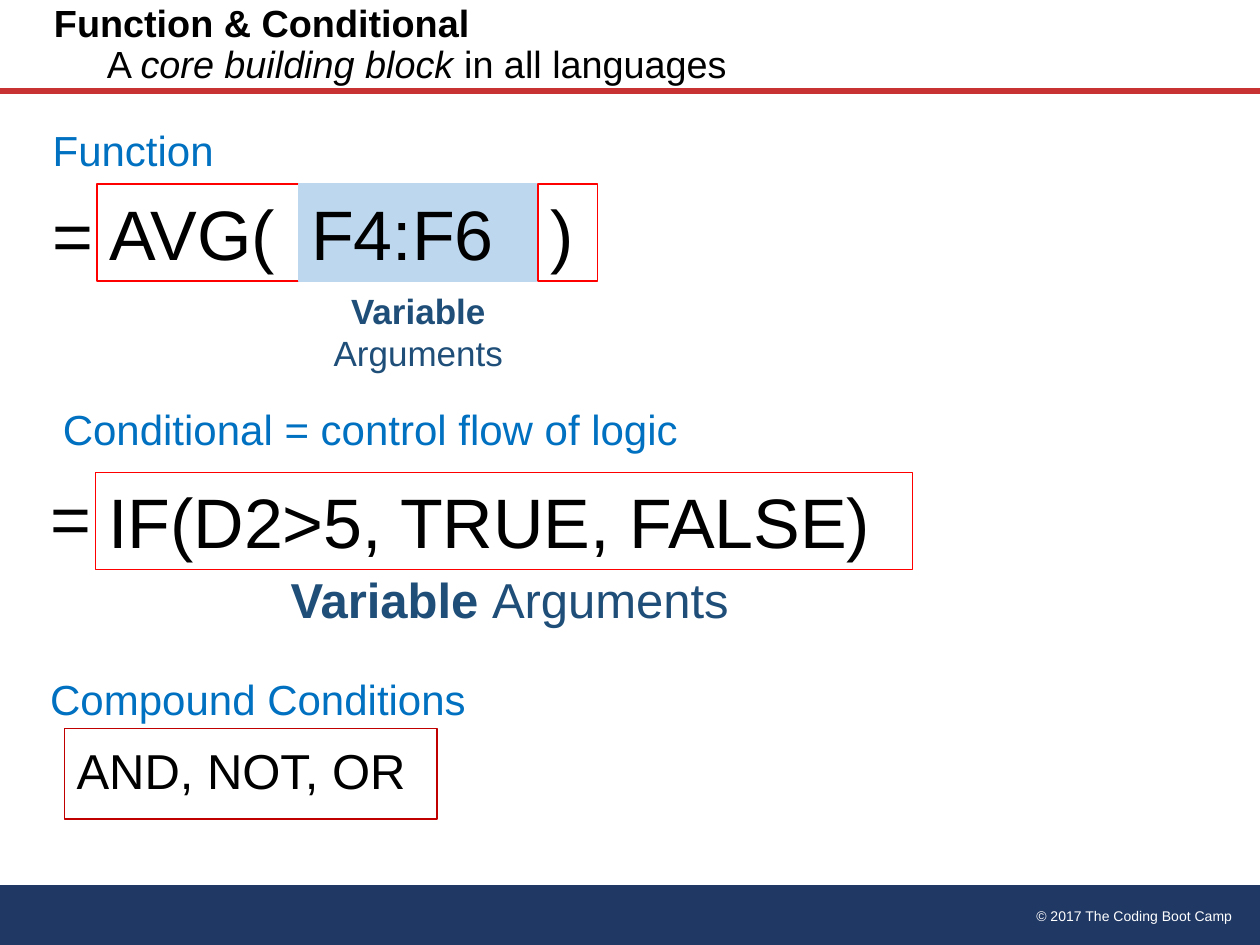
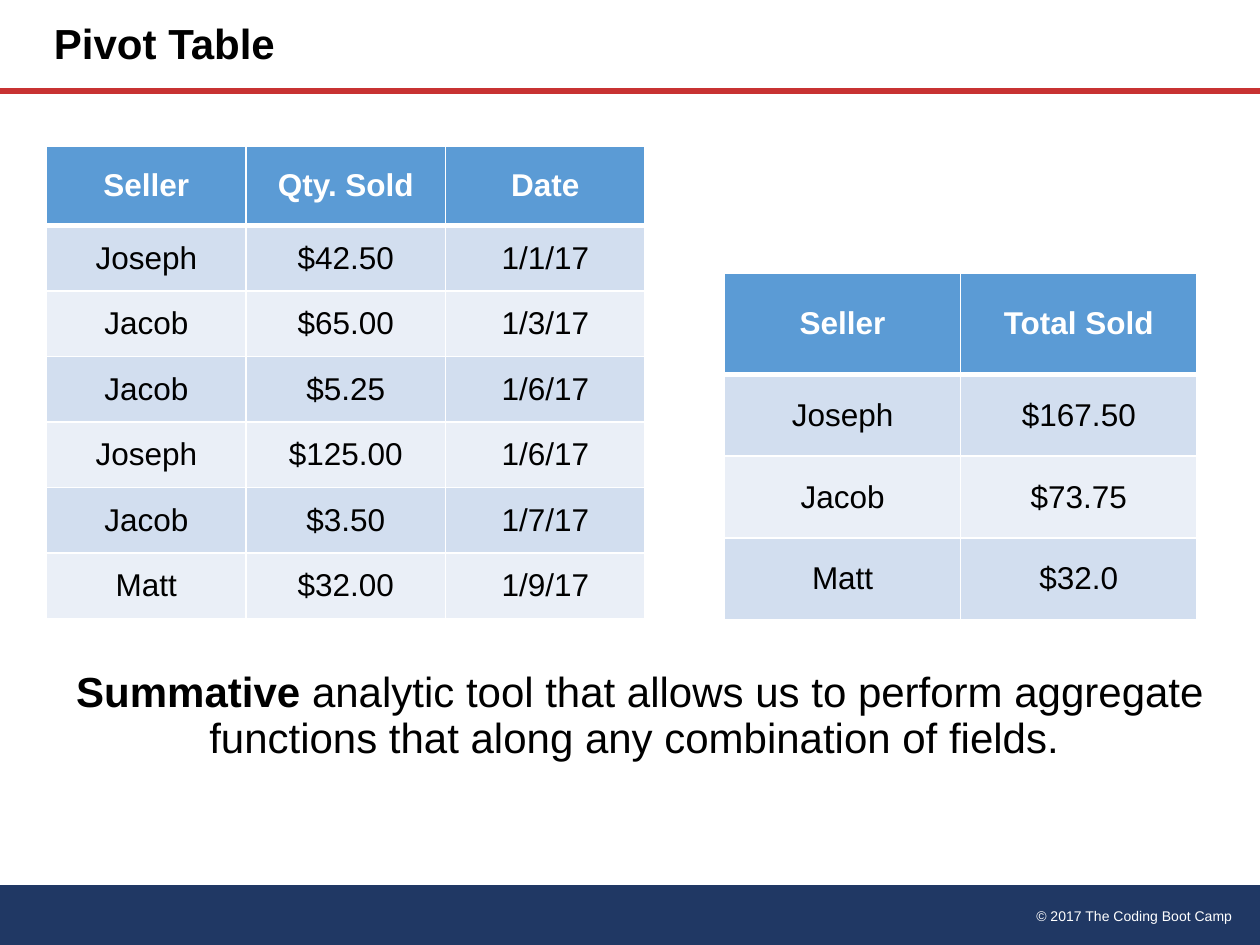
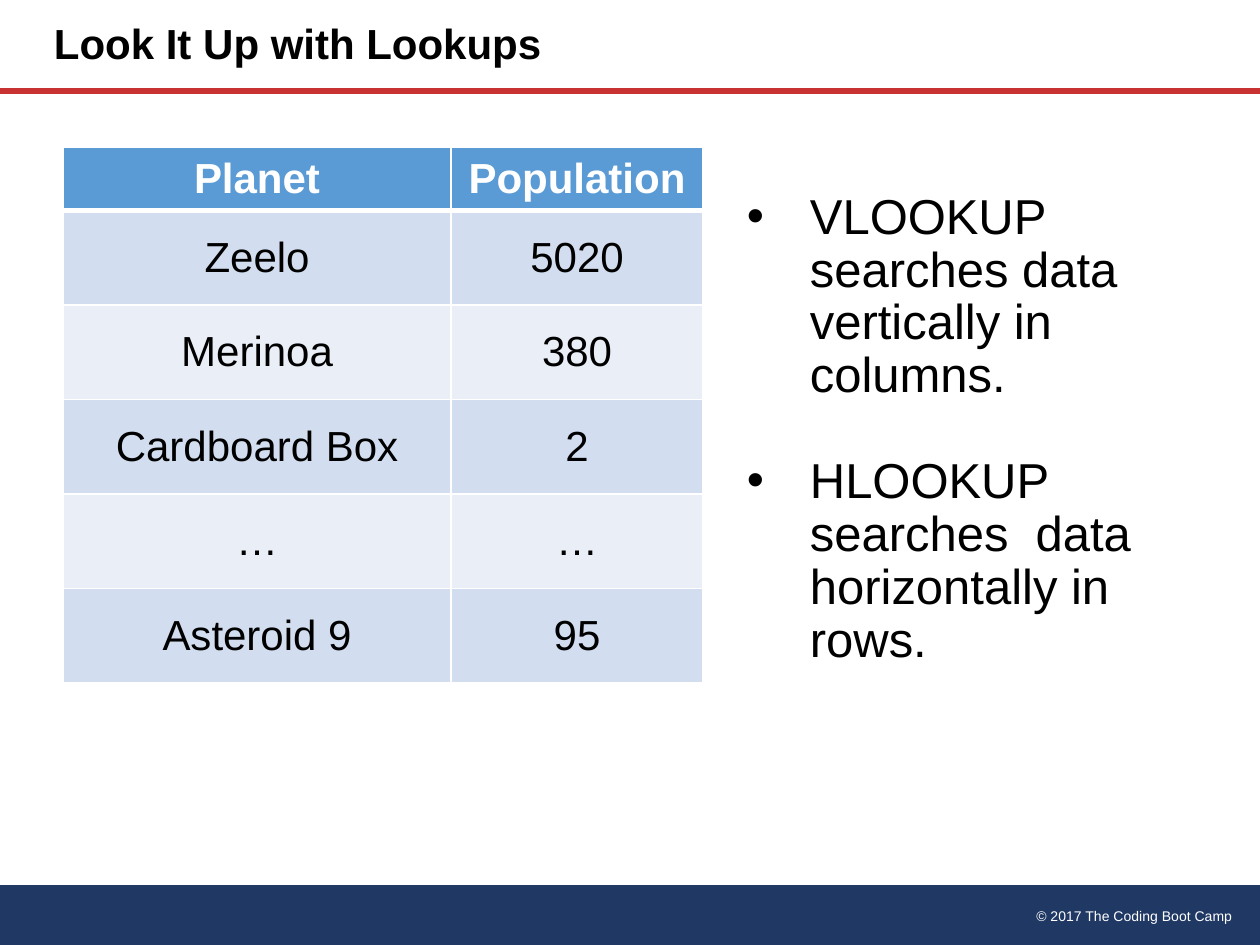
from lxml import etree
from pptx import Presentation
from pptx.dml.color import RGBColor
from pptx.enum.shapes import MSO_CONNECTOR, MSO_SHAPE
from pptx.enum.text import MSO_ANCHOR, PP_ALIGN
from pptx.oxml import parse_xml
from pptx.oxml.ns import nsdecls, qn
from pptx.util import Inches, Pt

FONT = "Arial"
BLACK = RGBColor(0x00, 0x00, 0x00)
WHITE = RGBColor(0xFF, 0xFF, 0xFF)
NAVY = RGBColor(0x20, 0x38, 0x64)
RULE_RED = RGBColor(0xC8, 0x32, 0x32)
BOX_RED = RGBColor(0xFF, 0x00, 0x00)
DARK_RED = RGBColor(0xC0, 0x00, 0x00)
HEADING_BLUE = RGBColor(0x00, 0x70, 0xC0)
LABEL_BLUE = RGBColor(0x1F, 0x4E, 0x79)
PALE_BLUE = RGBColor(0xBD, 0xD7, 0xEE)
HEADER_BLUE = RGBColor(0x5B, 0x9B, 0xD5)
BAND_COLORS = (RGBColor(0xD2, 0xDE, 0xEF), RGBColor(0xEA, 0xEF, 0xF7))

SLIDE_WIDTH, SLIDE_HEIGHT = 10, 7.5
TITLE_HEIGHT = 0.72
FOOTER_TOP = 7.02
FORMULA_HEIGHT = 0.77
HEADING_HEIGHT = 0.5


def add_text(slide, box, paragraphs, size, color=BLACK, align=PP_ALIGN.LEFT,
             anchor=MSO_ANCHOR.TOP, spacing=1.0, fill=None, line=None, bullet=False):
    """Add paragraphs, each a list of (text, style) runs; style is "", "b" or "i".

    A box with a line becomes a rectangle, any other a text box.
    """
    bounds = [Inches(length) for length in box]
    if line is None:
        shape = slide.shapes.add_textbox(*bounds)
    else:
        shape = slide.shapes.add_shape(MSO_SHAPE.RECTANGLE, *bounds)
        shape.shadow.inherit = False
        shape.line.color.rgb = line
        shape.line.width = Pt(0.75)
        if fill is None:
            shape.fill.background()
        else:
            shape.fill.solid()
            shape.fill.fore_color.rgb = fill
    frame = shape.text_frame
    frame.word_wrap = True
    frame.vertical_anchor = anchor
    for index, runs in enumerate(paragraphs):
        paragraph = frame.add_paragraph() if index else frame.paragraphs[0]
        if bullet:
            properties = paragraph._p.get_or_add_pPr()
            properties.set("marL", str(Inches(0.5)))
            properties.set("indent", str(Inches(-0.5)))
            etree.SubElement(properties, qn("a:buFont")).set("typeface", FONT)
            etree.SubElement(properties, qn("a:buChar")).set("char", "•")
        paragraph.alignment = align
        paragraph.line_spacing = spacing
        paragraph.font.name = FONT
        paragraph.font.size = Pt(size)
        paragraph.font.color.rgb = color
        for text, style in runs:
            run = paragraph.add_run()
            run.text = text
            if style == "b":
                run.font.bold = True
            elif style == "i":
                run.font.italic = True
    return frame


def add_banded_table(slide, left, top, column_widths, header_height, row_height, size, rows):
    height = header_height + row_height * (len(rows) - 1)
    table = slide.shapes.add_table(
        len(rows), len(column_widths), Inches(left), Inches(top),
        Inches(sum(column_widths)), Inches(height)).table
    for column, width in zip(table.columns, column_widths):
        column.width = Inches(width)
    for row_index, values in enumerate(rows):
        is_header = row_index == 0
        table.rows[row_index].height = Inches(header_height if is_header else row_height)
        edges = {"lnL": 1, "lnR": 1, "lnT": 3 if row_index == 1 else 1,
                 "lnB": 3 if is_header else 1}
        for column_index, value in enumerate(values):
            cell = table.cell(row_index, column_index)
            cell.vertical_anchor = MSO_ANCHOR.MIDDLE
            cell.fill.solid()
            cell.fill.fore_color.rgb = HEADER_BLUE if is_header else BAND_COLORS[(row_index - 1) % 2]
            properties = cell._tc.get_or_add_tcPr()
            for position, (edge, points) in enumerate(edges.items()):
                properties.insert(position, parse_xml(
                    f'<a:{edge} {nsdecls("a")} w="{Pt(points)}"><a:solidFill>'
                    f'<a:srgbClr val="{WHITE}"/></a:solidFill></a:{edge}>'))
            cell.text = value
            paragraph = cell.text_frame.paragraphs[0]
            paragraph.alignment = PP_ALIGN.CENTER
            paragraph.font.name = FONT
            paragraph.font.size = Pt(size)
            paragraph.font.bold = is_header
            paragraph.font.color.rgb = WHITE if is_header else BLACK


presentation = Presentation()
presentation.slide_width = Inches(SLIDE_WIDTH)
presentation.slide_height = Inches(SLIDE_HEIGHT)

# Footer band, rule and title of every slide
titles = [
    (21.6, [[("Function & Conditional", "b")],
            [("A ", ""), ("core building block ", "i"), ("in all languages", "")]]),
    (24, [[("Pivot Table", "b")]]),
    (24, [[("Look It Up with Lookups", "b")]]),
]
slides = []
for title_size, title in titles:
    slide = presentation.slides.add_slide(presentation.slide_layouts[6])
    slides.append(slide)
    band = slide.shapes.add_shape(
        MSO_SHAPE.FLOWCHART_PROCESS, 0, Inches(FOOTER_TOP),
        Inches(SLIDE_WIDTH), Inches(SLIDE_HEIGHT - FOOTER_TOP))
    band.shadow.inherit = False
    band.fill.solid()
    band.fill.fore_color.rgb = NAVY
    band.line.fill.background()
    add_text(slide, (6.83, 7.15, 3.05, 0.24), [[("© 2017 The Coding Boot Camp", "")]],
             8, WHITE, PP_ALIGN.RIGHT)
    rule = slide.shapes.add_connector(
        MSO_CONNECTOR.STRAIGHT, 0, Inches(TITLE_HEIGHT), Inches(SLIDE_WIDTH), Inches(TITLE_HEIGHT))
    rule.line.color.rgb = RULE_RED
    rule.line.width = Pt(3.25)
    etree.SubElement(rule._element.spPr, qn("a:effectLst"))
    title_frame = add_text(slide, (0.33, 0, 8.75, TITLE_HEIGHT), title, title_size,
                           anchor=MSO_ANCHOR.MIDDLE, spacing=0.9)
    for subtitle in title_frame.paragraphs[1:]:
        subtitle._p.get_or_add_pPr().set("marL", str(Inches(0.42)))

function_slide, pivot_slide, lookup_slide = slides

# Function and conditional
for left, top, width, heading in [
    (0.32, 0.94, 1.5, "Function"),
    (0.4, 3.15, 5.1, "Conditional = control flow of logic"),
    (0.3, 5.3, 3.54, "Compound Conditions"),
]:
    add_text(function_slide, (left, top, width, HEADING_HEIGHT), [[(heading, "")]], 24, HEADING_BLUE)

for left, top, width, formula, fill, line in [
    (0.32, 1.47, 0.42, "=", None, None),
    (0.77, 1.46, 1.64, "AVG(", None, BOX_RED),
    (2.37, 1.46, 1.89, "F4:F6", PALE_BLUE, PALE_BLUE),
    (4.27, 1.46, 0.47, ")", None, BOX_RED),
    (0.3, 3.72, 0.42, "=", None, None),
    (0.76, 3.75, 6.48, "IF(D2>5, TRUE, FALSE)", None, BOX_RED),
]:
    add_text(function_slide, (left, top, width, FORMULA_HEIGHT), [[(formula, "")]], 40,
             fill=fill, line=line)

add_text(function_slide, (2.54, 2.25, 1.56, 0.77), [[("Variable", "b")], [("Arguments", "")]],
         20, LABEL_BLUE, PP_ALIGN.CENTER)
add_text(function_slide, (1.77, 4.47, 4.55, 0.57), [[("Variable ", "b"), ("Arguments", "")]],
         28, LABEL_BLUE, PP_ALIGN.CENTER)
add_text(function_slide, (0.51, 5.78, 2.96, 0.72), [[("AND, NOT, OR", "")]], 28,
         anchor=MSO_ANCHOR.MIDDLE, spacing=0.9, line=DARK_RED)

# Pivot table
add_banded_table(pivot_slide, 0.37, 1.16, [4.75 / 3] * 3, 0.63, 0.52, 18, [
    ("Seller", "Qty. Sold", "Date"),
    ("Joseph", "$42.50", "1/1/17"),
    ("Jacob", "$65.00", "1/3/17"),
    ("Jacob", "$5.25", "1/6/17"),
    ("Joseph", "$125.00", "1/6/17"),
    ("Jacob", "$3.50", "1/7/17"),
    ("Matt", "$32.00", "1/9/17"),
])
add_banded_table(pivot_slide, 5.75, 2.17, [3.75 / 2] * 2, 0.8, 0.65, 18, [
    ("Seller", "Total Sold"),
    ("Joseph", "$167.50"),
    ("Jacob", "$73.75"),
    ("Matt", "$32.0"),
])
add_text(pivot_slide, (0.33, 5.28, 9.5, 0.8), [[
    ("Summative ", "b"),
    ("analytic tool that allows us to perform aggregate functions "
     "that along any combination of fields. ", ""),
]], 24, align=PP_ALIGN.CENTER, spacing=0.9)

# Lookups
add_banded_table(lookup_slide, 0.5, 1.17, [3.08, 2], 0.49, 0.75, 24, [
    ("Planet", "Population"),
    ("Zeelo", "5020"),
    ("Merinoa", "380"),
    ("Cardboard Box", "2"),
    ("…", "…"),
    ("Asteroid 9", "95"),
])
lookup_frame = add_text(lookup_slide, (5.83, 1.42, 4, 3.98), [
    [("VLOOKUP searches data vertically in  columns.", "")],
    [("HLOOKUP searches  data horizontally in rows.", "")],
], 28, anchor=MSO_ANCHOR.MIDDLE, spacing=0.9, bullet=True)
lookup_frame.paragraphs[1].space_before = Pt(30)

presentation.save("out.pptx")
